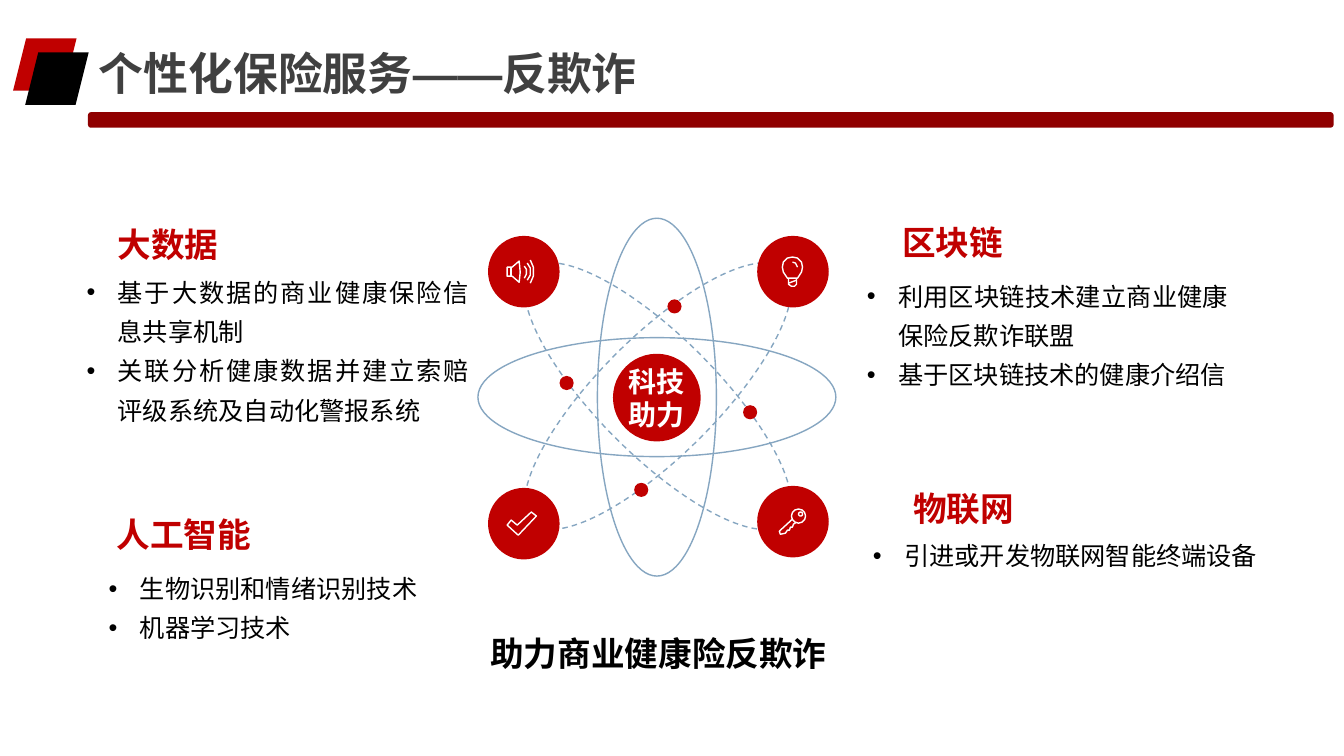
from dataclasses import dataclass

from lxml import etree
from pptx import Presentation
from pptx import util as u
from pptx.dml.color import RGBColor
from pptx.enum import dml, shapes, text
from pptx.oxml import ns

SCALE = 9144  # EMU per px, 100 px to the inch


@dataclass(frozen=True)
class Theme:
    red: str = "C00000"
    bar: str = "900000"
    bar_edge: str = "8E0000"
    black: str = "000000"
    white: str = "FFFFFF"
    title_grey: str = "404040"
    orbit: str = "86A6C1"
    title_font: str = "Arial"
    body_font: str = "Noto Sans CJK SC"
    title_size: int = 32
    heading_size: int = 24
    core_size: int = 20
    body_size: int = 18
    bullet_indent: int = 31


def px(*lengths):
    return [u.Emu(length * SCALE) for length in lengths]


class SlideBuilder:
    def __init__(self, slide, theme):
        self.slide = slide
        self.theme = theme

    def paint(self, shape, fill=None, line=None, width=1.0, dashed=False):
        shape.shadow.inherit = False
        if fill:
            shape.fill.solid()
            shape.fill.fore_color.rgb = RGBColor.from_string(fill)
        else:
            shape.fill.background()
        if line:
            shape.line.color.rgb = RGBColor.from_string(line)
            shape.line.width = u.Pt(width)
            if dashed:
                shape.line.dash_style = dml.MSO_LINE.DASH
        else:
            shape.line.fill.background()
        return shape

    def shape(self, kind, box, **style):
        return self.paint(self.slide.shapes.add_shape(kind, *px(*box)), **style)

    def oval(self, box, **style):
        return self.shape(shapes.MSO_SHAPE.OVAL, box, **style)

    def outline(self, points, closed=False):
        """Draw a white icon stroke through the points."""
        builder = self.slide.shapes.build_freeform(*points[0], scale=SCALE)
        builder.add_line_segments(points[1:], close=closed)
        return self.paint(builder.convert_to_shape(), line=self.theme.white)

    def fill_text(self, frame, lines, size, color, font=None, bold=False,
                  align=text.PP_ALIGN.LEFT, spacing=None, bulleted=False):
        font = font or self.theme.body_font
        for index, line in enumerate(lines):
            paragraph = frame.paragraphs[0] if index == 0 else frame.add_paragraph()
            paragraph.text = line
            paragraph.alignment = align
            if spacing:
                paragraph.line_spacing = spacing
            if bulleted:
                self.bullet(paragraph)
            paragraph.font.size = u.Pt(size)
            paragraph.font.bold = bold
            paragraph.font.name = font
            paragraph.font.color.rgb = RGBColor.from_string(color)
            latin = paragraph._p.pPr.find(".//" + ns.qn("a:latin"))
            east_asian = etree.Element(ns.qn("a:ea"), typeface=font)
            latin.addnext(east_asian)

    def bullet(self, paragraph):
        properties = paragraph._p.get_or_add_pPr()
        indent = self.theme.bullet_indent * SCALE
        properties.set("marL", str(indent))
        properties.set("indent", str(-indent))
        etree.SubElement(properties, ns.qn("a:buFont"), typeface="Arial")
        etree.SubElement(properties, ns.qn("a:buChar"), char="•")

    def text_box(self, box, lines, size, color, **style):
        frame = self.slide.shapes.add_textbox(*px(*box)).text_frame
        frame.word_wrap = True
        frame.auto_size = text.MSO_AUTO_SIZE.SHAPE_TO_FIT_TEXT
        self.fill_text(frame, lines, size, color, **style)

    def title(self, box, words):
        title = self.slide.shapes.title
        title.left, title.top, title.width, title.height = px(*box)
        frame = title.text_frame
        frame.word_wrap = True
        frame.vertical_anchor = text.MSO_ANCHOR.TOP
        frame.auto_size = text.MSO_AUTO_SIZE.SHAPE_TO_FIT_TEXT
        self.fill_text(frame, [words], self.theme.title_size, self.theme.title_grey,
                       font=self.theme.title_font, bold=True)

    def topic(self, heading_box, heading, list_box, items, spacing=1.3):
        """Add a red heading and its bulleted list."""
        theme = self.theme
        self.text_box(heading_box, [heading], theme.heading_size, theme.red, bold=True)
        self.text_box(list_box, items, theme.body_size, theme.black, spacing=spacing,
                      align=text.PP_ALIGN.JUSTIFY, bulleted=True)

    def orbit(self, box, rotation, dashed=False):
        self.oval(box, line=self.theme.orbit, dashed=dashed).rotation = rotation

    def core(self, box, lines):
        frame = self.oval(box, fill=self.theme.red).text_frame
        frame.margin_left, frame.margin_top, frame.margin_right, frame.margin_bottom = px(6, 6, 6, 6)
        frame.word_wrap = False
        frame.vertical_anchor = text.MSO_ANCHOR.MIDDLE
        self.fill_text(frame, lines, self.theme.core_size, self.theme.white,
                       bold=True, align=text.PP_ALIGN.CENTER)


NODES = [(484, 234), (751, 482), (484, 484), (751, 234)]
DOTS = [(555, 373), (737, 402), (629, 479), (662, 297)]

# Each stroke is its points and whether it closes.
SPEAKER = [
    ([(503, 265), (508, 265), (515, 259), (516, 270), (515, 280), (508, 274), (503, 274)], True),
    ([(507, 265), (507, 274)], False),
    ([(520, 264), (522, 267), (522, 272), (520, 276)], False),
    ([(523, 261), (526, 266), (526, 273), (523, 278)], False),
    ([(526, 258), (529, 265), (529, 274), (526, 281)], False),
]
BULB = [
    ([(781, 276), (777, 270), (776, 265), (777, 260), (781, 256), (786, 255),
      (791, 256), (795, 260), (796, 265), (795, 270), (791, 276)], True),
    ([(782, 276), (782, 282), (785, 284), (788, 284), (790, 282), (790, 276)], False),
    ([(782, 281), (790, 278)], False),
    ([(786, 260), (789, 261), (791, 265)], False),
]
KEY_SHAFT = [
    ([(786, 515), (773, 527), (774, 530), (779, 529), (781, 526), (783, 526),
      (784, 523), (786, 523), (787, 520), (790, 518)], False),
]
CHECK = [([(503, 521), (507, 516), (513, 521), (527, 508), (532, 512), (514, 531)], True)]


def main():
    presentation = Presentation()
    presentation.slide_width, presentation.slide_height = px(1333, 750)
    slide = presentation.slides.add_slide(presentation.slide_layouts[5])
    theme = Theme()
    builder = SlideBuilder(slide, theme)

    for left, top, color in [(13, 38, theme.red), (25, 52, theme.black)]:
        builder.shape(shapes.MSO_SHAPE.PARALLELOGRAM, (left, top, 63, 52), fill=color)
    builder.shape(shapes.MSO_SHAPE.ROUNDED_RECTANGLE, (88, 112, 1234, 14),
                  fill=theme.bar, line=theme.bar_edge)
    builder.title((88, 40, 799, 64), "个性化保险服务——反欺诈")

    for rotation in (315, 225):
        builder.orbit((475, 334, 355, 118), rotation, dashed=True)
    for left, top in NODES:
        builder.oval((left, top, 71, 71), fill=theme.red)
    builder.core((608, 351, 87, 87), ["科技", "助力"])
    for left, top in DOTS:
        builder.oval((left, top, 14, 14), fill=theme.red)
    for points, closed in SPEAKER + BULB + KEY_SHAFT + CHECK:
        builder.outline(points, closed)
    for key_ring in [(785, 505, 14, 14), (792, 508, 4, 4)]:
        builder.oval(key_ring, line=theme.white)
    for rotation in (0, 270):
        builder.orbit((474, 335, 355, 118), rotation)

    builder.topic((885, 215, 295, 50), "区块链", (850, 265, 378, 128),
                  ["利用区块链技术建立商业健康保险反欺诈联盟", "基于区块链技术的健康介绍信"])
    builder.topic((896, 479, 174, 50), "物联网", (856, 527, 466, 44),
                  ["引进或开发物联网智能终端设备"], spacing=1.14)
    builder.topic((107, 217, 367, 50), "大数据", (76, 261, 399, 167),
                  ["基于大数据的商业健康保险信息共享机制",
                   "关联分析健康数据并建立索赔评级系统及自动化警报系统"])
    builder.topic((106, 505, 380, 50), "人工智能", (98, 555, 388, 89),
                  ["生物识别和情绪识别技术", "机器学习技术"])
    builder.text_box((329, 623, 648, 50), ["助力商业健康险反欺诈"], theme.heading_size,
                     theme.black, bold=True, align=text.PP_ALIGN.CENTER)

    presentation.save("out.pptx")


if __name__ == "__main__":
    main()
